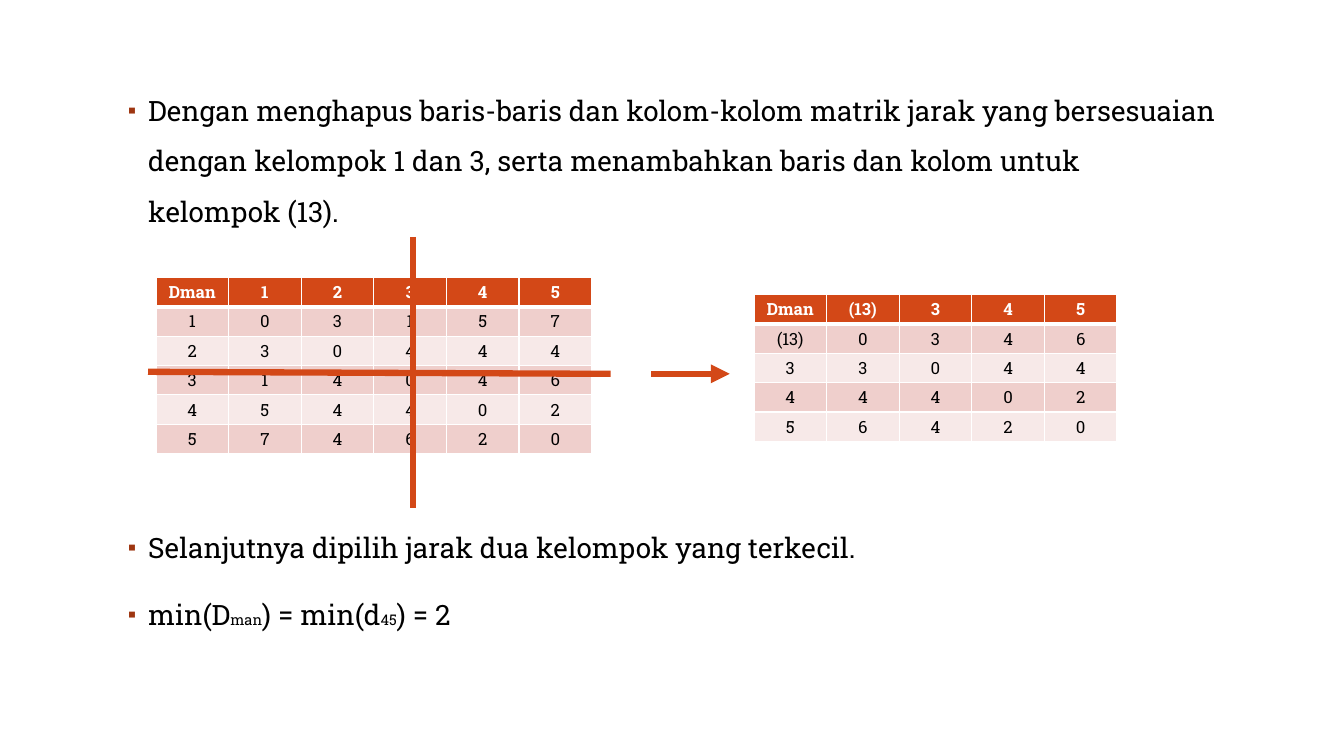
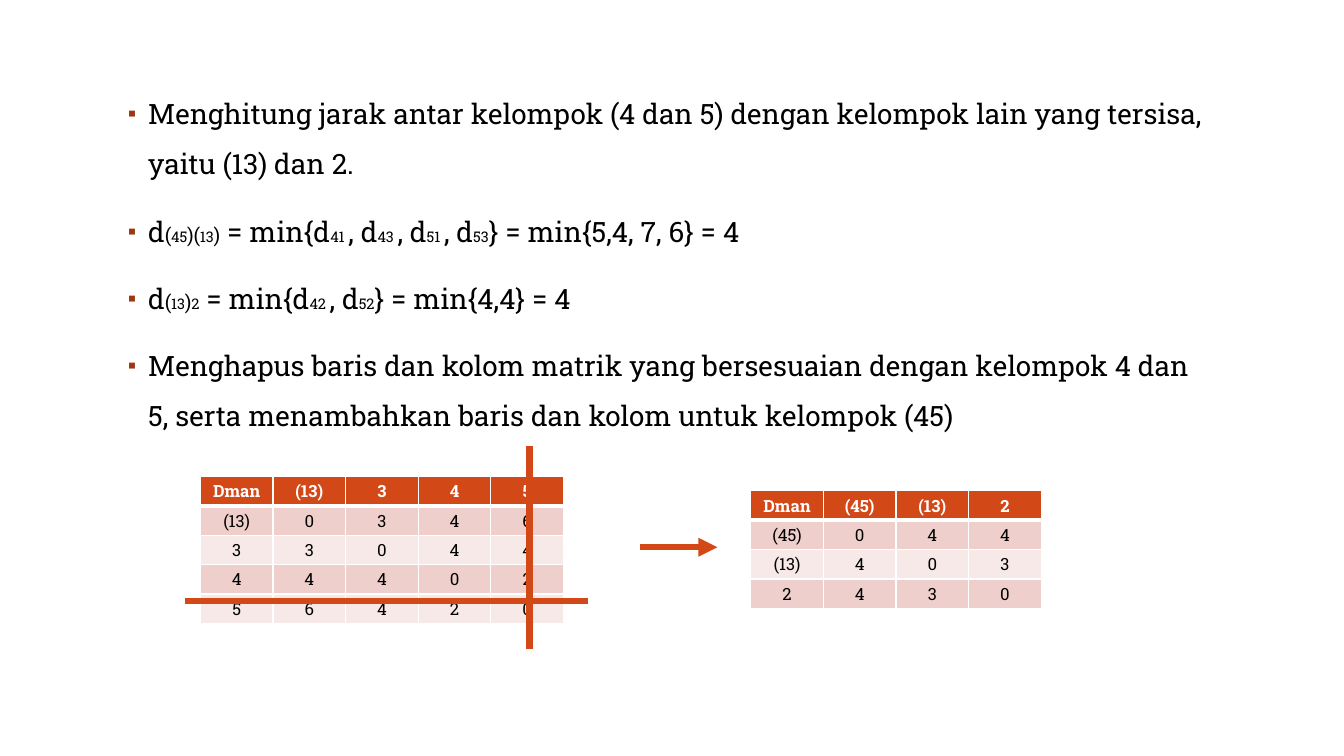
from lxml import etree
from pptx import Presentation
from pptx.dml.color import RGBColor
from pptx.enum.shapes import MSO_CONNECTOR
from pptx.enum.text import MSO_ANCHOR, MSO_AUTO_SIZE, PP_ALIGN
from pptx.oxml.ns import qn
from pptx.util import Cm, Pt

STRAIGHT = MSO_CONNECTOR.STRAIGHT
TOP = MSO_ANCHOR.TOP
NO_AUTOFIT = MSO_AUTO_SIZE.NONE
CENTER = PP_ALIGN.CENTER

FONT = "Roboto Slab"
BLACK, WHITE = "000000", "FFFFFF"
ORANGE, BULLET = "D34817", "9E3611"
BANDS = ("EFCFCC", "F7E9E8")
BIG, MID, SUB = 20, 14, 10.5
COL_W, ROW_H = 1.83, 0.73
CELL_MARGINS = {"margin_left": Cm(0.18), "margin_right": Cm(0.18),
                "margin_top": Cm(0.09), "margin_bottom": Cm(0.09)}

FIVE_GROUPS = [
    ("Dman", "1", "2", "3", "4", "5"),
    ("1", "0", "3", "1", "5", "7"),
    ("2", "3", "0", "4", "4", "4"),
    ("3", "1", "4", "0", "4", "6"),
    ("4", "5", "4", "4", "0", "2"),
    ("5", "7", "4", "6", "2", "0"),
]
FOUR_GROUPS = [
    ("Dman", "(13)", "3", "4", "5"),
    ("(13)", "0", "3", "4", "6"),
    ("3", "3", "0", "4", "4"),
    ("4", "4", "4", "0", "2"),
    ("5", "6", "4", "2", "0"),
]
THREE_GROUPS = [
    ("Dman", "(45)", "(13)", "2"),
    ("(45)", "0", "4", "4"),
    ("(13)", "4", "0", "3"),
    ("2", "4", "3", "0"),
]

SLIDES = [
    {
        "body": (2.97, 1.8, 27.94, 15.34),
        "paragraphs": [
            (0, [("Dengan menghapus baris-baris dan kolom-kolom matrik jarak yang "
                  "bersesuaian dengan kelompok 1 dan 3, serta menambahkan baris dan "
                  "kolom untuk kelompok (13).", BIG)]),
            (204, [("Selanjutnya dipilih jarak dua kelompok yang terkecil.", BIG)]),
            (12, [("min(D", BIG), ("man", SUB), (") = min(d", BIG), ("45", SUB),
                  (") = 2", BIG)]),
        ],
        "tables": [(3.93, 6.99, FIVE_GROUPS), (19, 7.42, FOUR_GROUPS)],
        "strikes": [(10.41, 5.97, 10.41, 12.8), (15.39, 9.42, 3.73, 9.37)],
        "arrow": (16.41, 9.42, 18.39, 9.42),
    },
    {
        "body": (2.97, 1.88, 27.94, 15.27),
        "paragraphs": [
            (0, [("Menghitung jarak antar kelompok (4 dan 5) dengan kelompok lain "
                  "yang tersisa, yaitu (13) dan 2.", BIG)]),
            (12, [("d", BIG), ("(", MID), ("45", SUB), (")(", MID), ("13", SUB),
                  (")", MID), (" = min{d", BIG), ("41 ", SUB), (", d", BIG),
                  ("43 ", SUB), (", d", BIG), ("51 ", SUB), (", d", BIG),
                  ("53", SUB), ("} = min{5,4, 7, 6} = 4", BIG)]),
            (12, [("d", BIG), ("(", MID), ("13", SUB), (")", MID), ("2", SUB),
                  (" = min{d", BIG), ("42 ", SUB), (", d", BIG), ("52", SUB),
                  ("} = min{4,4} = 4", BIG)]),
            (12, [("Menghapus baris dan kolom matrik yang bersesuaian dengan kelompok "
                  "4 dan 5, serta menambahkan baris dan kolom untuk kelompok (45)", BIG)]),
        ],
        "tables": [(5.05, 12.01, FOUR_GROUPS), (18.92, 12.37, THREE_GROUPS)],
        "strikes": [(13.34, 11.23, 13.34, 16.36), (14.81, 15.14, 4.65, 15.14)],
        "arrow": (16.13, 13.79, 18.08, 13.79),
    },
]


def rgb(color):
    return RGBColor.from_string(color)


def set_all(target, values):
    for name, value in values.items():
        setattr(target, name, value)


def add_xml(parent, tag, **attributes):
    return etree.SubElement(parent, qn(tag), attributes)


def add_run(p, text, size, color=BLACK, bold=False):
    r = p.add_run()
    r.text = text
    set_all(r.font, {"name": FONT, "size": Pt(size), "bold": bold})
    r.font.color.rgb = rgb(color)


def add_bullet(p):
    pPr = p._p.get_or_add_pPr()
    pPr.set("marL", str(Cm(0.51)))
    pPr.set("indent", str(-Cm(0.51)))
    add_xml(add_xml(pPr, "a:buClr"), "a:srgbClr", val=BULLET)
    add_xml(pPr, "a:buSzPct", val="85000")
    add_xml(pPr, "a:buFont", typeface="Arial")
    add_xml(pPr, "a:buChar", char="▪")


def fill_body(s, box, paragraphs):
    title = s.shapes.title
    title.element.getparent().remove(title.element)
    sp = s.placeholders[1]
    set_all(sp, dict(zip(("left", "top", "width", "height"), map(Cm, box))))
    tf = sp.text_frame
    set_all(tf, {"word_wrap": True, "auto_size": NO_AUTOFIT, "vertical_anchor": TOP})
    for i, (before, runs) in enumerate(paragraphs):
        p = tf.add_paragraph() if i else tf.paragraphs[0]
        set_all(p, {"line_spacing": Pt(36), "space_before": Pt(before),
                    "space_after": Pt(0)})
        add_bullet(p)
        for text, size in runs:
            add_run(p, text, size)


def add_borders(cell, row):
    tcPr = cell._tc.get_or_add_tcPr()
    widths = {"a:lnL": 1, "a:lnR": 1, "a:lnT": 3 if row == 1 else 1,
              "a:lnB": 3 if row == 0 else 1}
    for tag, width in widths.items():
        ln = add_xml(tcPr, tag, w=str(Pt(width)))
        add_xml(add_xml(ln, "a:solidFill"), "a:srgbClr", val=WHITE)


def add_matrix(s, left, top, rows):
    n_rows, n_cols = len(rows), len(rows[0])
    table = s.shapes.add_table(n_rows, n_cols, Cm(left), Cm(top),
                               Cm(COL_W * n_cols), Cm(ROW_H * n_rows)).table
    table.horz_banding = False
    for column in table.columns:
        column.width = Cm(COL_W)
    for i, values in enumerate(rows):
        table.rows[i].height = Cm(ROW_H)
        header = i == 0
        for j, value in enumerate(values):
            cell = table.cell(i, j)
            set_all(cell, CELL_MARGINS)
            add_borders(cell, i)
            cell.fill.solid()
            cell.fill.fore_color.rgb = rgb(ORANGE if header else BANDS[(i - 1) % 2])
            p = cell.text_frame.paragraphs[0]
            p.alignment = CENTER
            add_run(p, value, 12, WHITE if header else BLACK, header)


def add_line(s, ends, arrow=False):
    line = s.shapes.add_connector(STRAIGHT, *map(Cm, ends))
    line.line.width = Pt(4.5)
    line.line.color.rgb = rgb(ORANGE)
    spPr = line.element.spPr
    if arrow:
        add_xml(spPr.find(qn("a:ln")), "a:tailEnd", type="triangle")
    add_xml(spPr, "a:effectLst")


def main():
    prs = Presentation()
    prs.slide_width, prs.slide_height = Cm(33.87), Cm(19.05)
    for content in SLIDES:
        s = prs.slides.add_slide(prs.slide_layouts[1])
        fill_body(s, content["body"], content["paragraphs"])
        for left, top, rows in content["tables"]:
            add_matrix(s, left, top, rows)
        for ends in content["strikes"]:
            add_line(s, ends)
        add_line(s, content["arrow"], arrow=True)
    prs.save("out.pptx")


if __name__ == "__main__":
    main()
